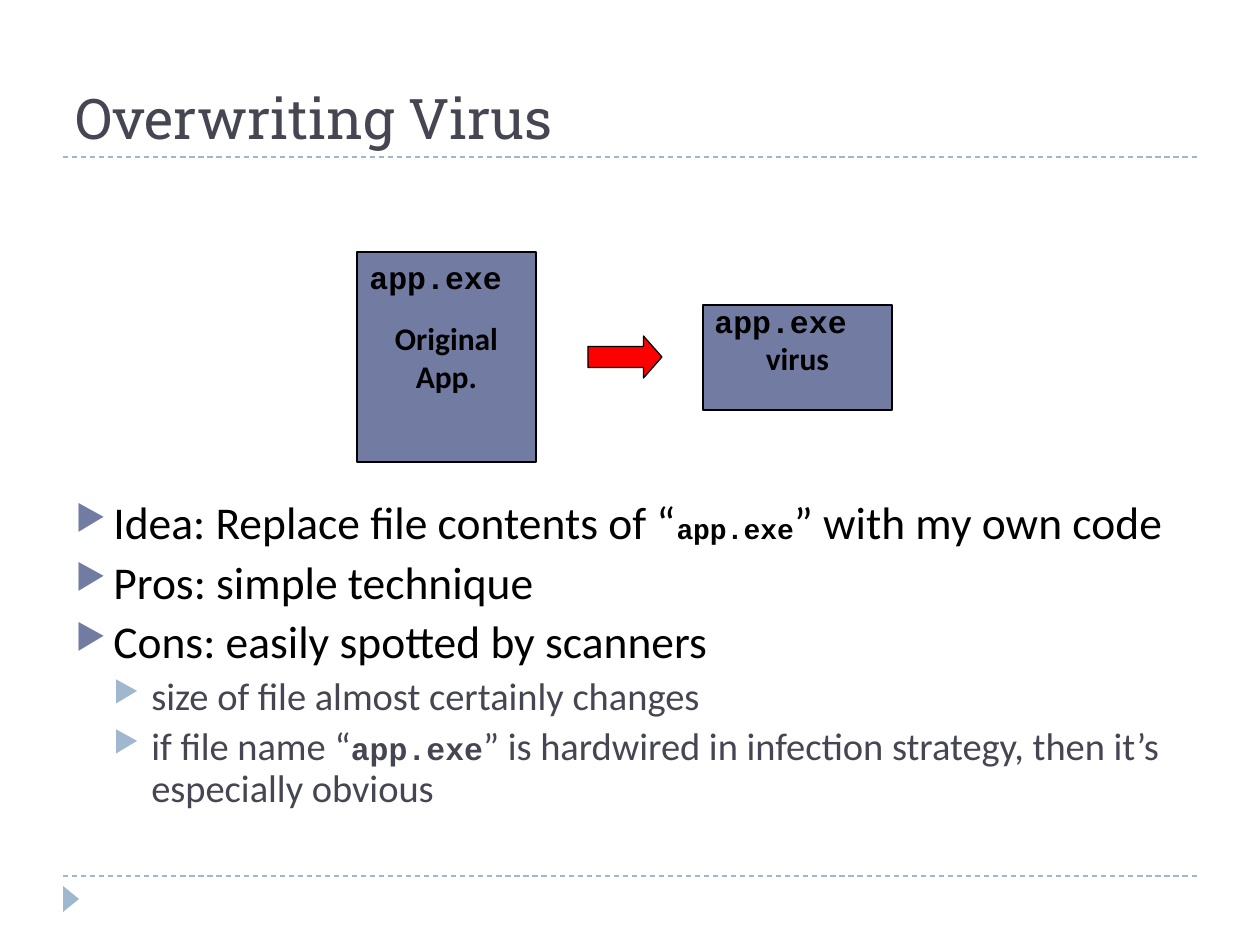
from lxml.etree import SubElement
from pptx import Presentation
from pptx.dml.color import RGBColor
from pptx.enum.dml import MSO_LINE
from pptx.enum.shapes import MSO_CONNECTOR, MSO_SHAPE
from pptx.enum.text import MSO_ANCHOR, MSO_AUTO_SIZE, PP_ALIGN
from pptx.oxml.ns import qn
from pptx.util import Emu, Pt

PX_PER_INCH = 126
COLORS = {
    "black": "000000",
    "title": "464653",
    "box": "727CA3",
    "accent": "9FB8CD",
    "arrow": "FF0000",
}
# bullet colour, text colour, size, size of code, space before, left indent in px
LEVELS = [
    ("box", "black", 26, 16, 6, 38),
    ("accent", "title", 22, 18, 5, 76),
]
BULLETS = [
    (0, ["Idea: Replace file contents of “", "app.exe", "” with my own code"]),
    (0, ["Pros: simple technique"]),
    (0, ["Cons: easily spotted by scanners"]),
    (1, ["size of file almost certainly changes"]),
    (1, ["if file name “", "app.exe",
         "” is hardwired in infection strategy, then it’s especially obvious"]),
]


def px(n):
    return Emu(round(n * 914400 / PX_PER_INCH))


def rgb(name):
    return RGBColor.from_string(COLORS[name])


def add_text(p, text, size=18, font="Calibri", color="black", bold=False):
    r = p.add_run()
    r.text = text
    r.font.size = Pt(size)
    r.font.name = font
    r.font.bold = bold
    r.font.color.rgb = rgb(color)


class SlideBuilder:
    code_font = "Courier New"

    def __init__(self, slide):
        self.s = slide

    def rule(self, y):
        line = self.s.shapes.add_connector(
            MSO_CONNECTOR.STRAIGHT, px(63), px(y), px(1197), px(y))
        line.line.color.rgb = rgb("accent")
        line.line.width = Pt(0.75)
        line.line.dash_style = MSO_LINE.DASH
        SubElement(line._element.spPr, qn("a:effectLst"))

    def shape(self, kind, x, y, w, h, fill, outlined=True):
        sp = self.s.shapes.add_shape(kind, px(x), px(y), px(w), px(h))
        sp.shadow.inherit = False
        sp.fill.solid()
        sp.fill.fore_color.rgb = rgb(fill)
        if outlined:
            sp.line.color.rgb = rgb("black")
            sp.line.width = Pt(0.75)
        else:
            sp.line.fill.background()
        return sp

    def file_box(self, x, y, w, h, lines):
        tf = self.shape(MSO_SHAPE.RECTANGLE, x, y, w, h, "box").text_frame
        tf.word_wrap = False
        tf.vertical_anchor = MSO_ANCHOR.MIDDLE
        for i, text in enumerate(lines):
            p = tf.add_paragraph() if i else tf.paragraphs[0]
            p.alignment = PP_ALIGN.CENTER
            add_text(p, text, bold=True)

    def text_box(self, x, y, w, h, wrap=True, anchor=MSO_ANCHOR.TOP):
        tf = self.s.shapes.add_textbox(px(x), px(y), px(w), px(h)).text_frame
        tf.word_wrap = wrap
        tf.vertical_anchor = anchor
        return tf

    def title(self, text):
        tf = self.text_box(63, 21, 1134, 136, anchor=MSO_ANCHOR.BOTTOM)
        add_text(tf.paragraphs[0], text, size=32, font="Roboto Slab", color="title")

    def file_name(self, x, y):
        tf = self.text_box(x, y, 160, 50, wrap=False)
        tf.auto_size = MSO_AUTO_SIZE.SHAPE_TO_FIT_TEXT
        add_text(tf.paragraphs[0], "app.exe", font=self.code_font, bold=True)

    def bullet_list(self, items):
        tf = self.text_box(63, 494, 1134, 352)
        for i, (level, parts) in enumerate(items):
            marker, color, size, code_size, before, indent = LEVELS[level]
            p = tf.add_paragraph() if i else tf.paragraphs[0]
            p.level = level
            self.bullet(p, marker, indent)
            p.line_spacing = 0.9
            if i:
                p.space_before = Pt(before)
            for text in parts:
                if text == "app.exe":
                    add_text(p, text, code_size, self.code_font, color, bold=True)
                else:
                    add_text(p, text, size, color=color)

    def bullet(self, p, color, indent):
        pPr = p._p.get_or_add_pPr()
        pPr.set("marL", str(px(indent)))
        pPr.set("indent", str(-px(38)))
        clr = SubElement(pPr, qn("a:buClr"))
        SubElement(clr, qn("a:srgbClr"), val=COLORS[color])
        SubElement(pPr, qn("a:buSzPct"), val="76000")
        SubElement(pPr, qn("a:buChar"), char="▶")


def main():
    prs = Presentation()
    prs.slide_width, prs.slide_height = px(1260), px(945)
    b = SlideBuilder(prs.slides.add_slide(prs.slide_layouts[6]))

    for y in (876, 157):
        b.rule(y)
    marker = b.shape(MSO_SHAPE.ISOSCELES_TRIANGLE, 58, 891, 26, 16, "accent",
                     outlined=False)
    marker.rotation = 90
    b.title("Overwriting Virus")
    b.bullet_list(BULLETS)

    b.file_box(357, 252, 179, 210, ["Original", "App."])
    b.file_box(703, 305, 189, 105, ["virus"])
    arrow = b.shape(MSO_SHAPE.RIGHT_ARROW, 588, 336, 74, 42, "arrow")
    arrow.adjustments[1] = 0.44
    b.file_name(357, 252)
    b.file_name(702, 296)

    prs.save("out.pptx")


if __name__ == "__main__":
    main()
